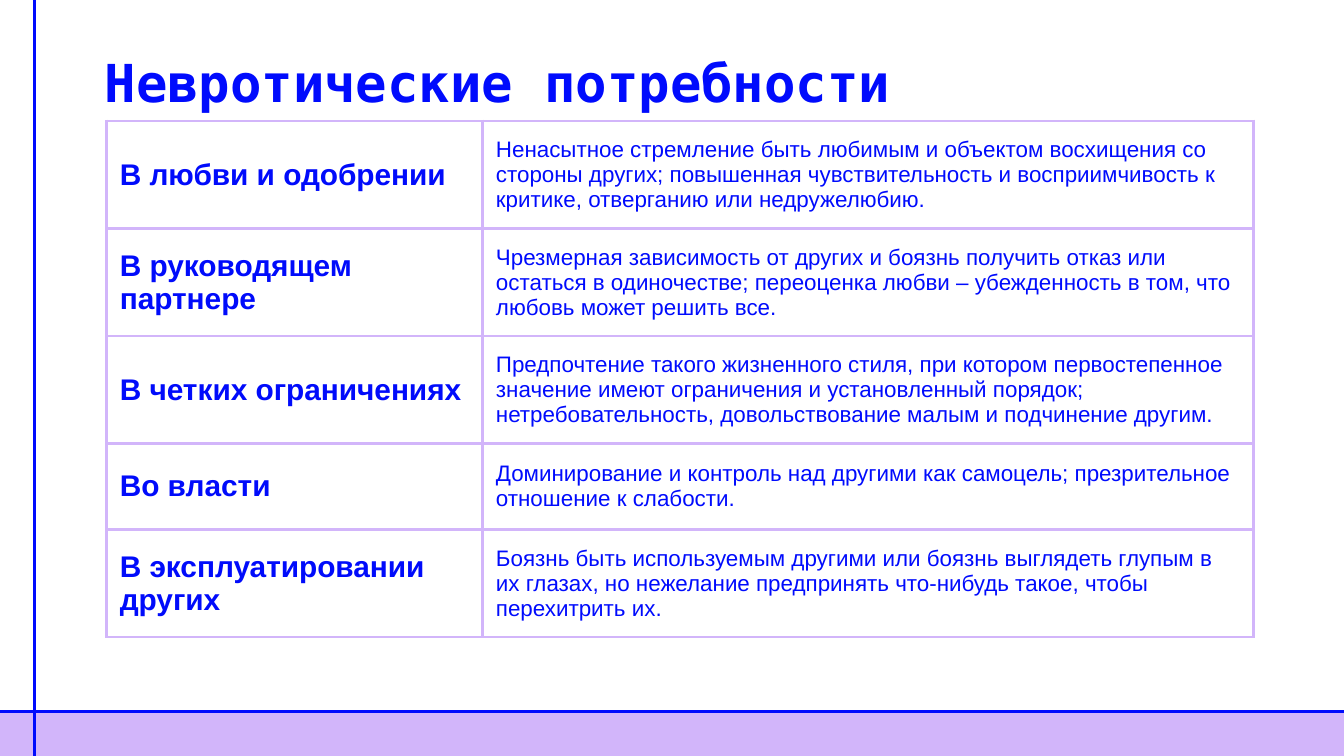
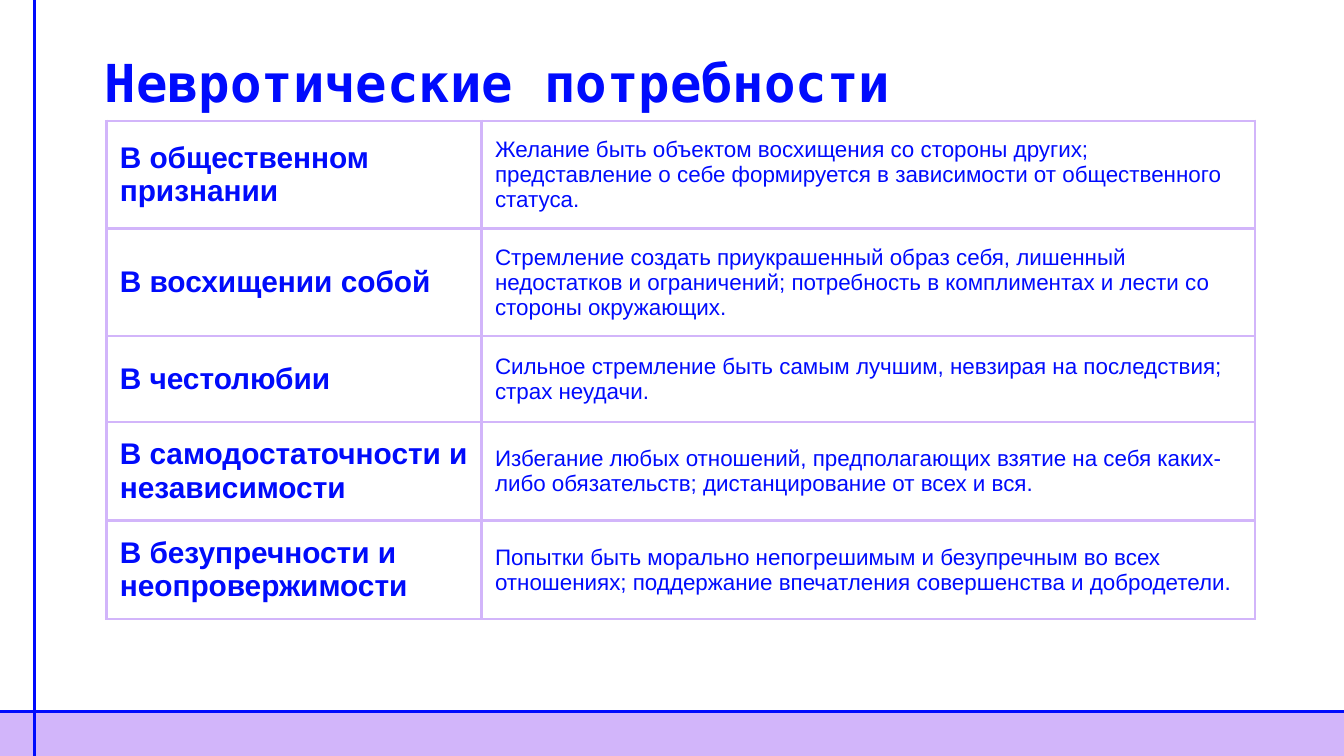
from lxml import etree
from pptx import Presentation
from pptx.dml.color import RGBColor
from pptx.enum.shapes import MSO_CONNECTOR as Connector, MSO_SHAPE as Shape
from pptx.enum.text import MSO_ANCHOR as Anchor
from pptx.oxml.ns import qn
from pptx.util import Pt

BLUE = RGBColor(0x00, 0x0B, 0xFD)
LABEL_BLUE = RGBColor(0x00, 0x0B, 0xFB)
LILAC = RGBColor(0xD2, 0xB5, 0xFA)
WHITE = RGBColor(0xFF, 0xFF, 0xFF)

BAND_TOP = 381
RULE_LEFT = 18.7
LINE_WIDTH = 1.5
INSET = 7.2
TABLE_LEFT, TABLE_TOP = 57, 64.8
ROW_HEIGHT = 46

TITLE_FORMAT = {"name": "DejaVu Sans Mono", "size": Pt(28), "bold": True}
LABEL_FORMAT = {"name": "Arial", "size": Pt(16), "bold": True}
DETAIL_FORMAT = {"name": "Arial", "size": Pt(12), "bold": False}

TITLE = "Невротические потребности"

# Each table: column widths, frame height, rows of (need, description)
TABLES = [
    ((201.5, 413), 291, [
        ("В любви и одобрении",
         "Ненасытное стремление быть любимым и объектом восхищения со стороны других; "
         "повышенная чувствительность и восприимчивость к критике, отверганию или недружелюбию."),
        ("В руководящем партнере",
         "Чрезмерная зависимость от других и боязнь получить отказ или остаться в одиночестве; "
         "переоценка любви – убежденность в том, что любовь может решить все."),
        ("В четких ограничениях",
         "Предпочтение такого жизненного стиля, при котором первостепенное значение имеют "
         "ограничения и установленный порядок; нетребовательность, довольствование малым "
         "и подчинение другим."),
        ("Во власти",
         "Доминирование и контроль над другими как самоцель; презрительное отношение к слабости."),
        ("В эксплуатировании других",
         "Боязнь быть используемым другими или боязнь выглядеть глупым в их глазах, "
         "но нежелание предпринять что-нибудь такое, чтобы перехитрить их."),
    ]),
    ((201, 414.5), 271.5, [
        ("В общественном признании",
         "Желание быть объектом восхищения со стороны других; представление о себе "
         "формируется в зависимости от общественного статуса."),
        ("В восхищении собой",
         "Стремление создать приукрашенный образ себя, лишенный недостатков и ограничений; "
         "потребность в комплиментах и лести со стороны окружающих."),
        ("В честолюбии",
         "Сильное стремление быть самым лучшим, невзирая на последствия; страх неудачи."),
        ("В самодостаточности и независимости",
         "Избегание любых отношений, предполагающих взятие на себя каких-либо обязательств; "
         "дистанцирование от всех и вся."),
        ("В безупречности и неопровержимости",
         "Попытки быть морально непогрешимым и безупречным во всех отношениях; "
         "поддержание впечатления совершенства и добродетели."),
    ]),
]


def write_text(text_frame, text, font_format, color):
    paragraph = text_frame.paragraphs[0]
    run = paragraph.add_run()
    run.text = text
    for name, value in font_format.items():
        setattr(run.font, name, value)
    run.font.color.rgb = color
    return paragraph


def set_insets(target):
    for side in ("left", "top", "right", "bottom"):
        setattr(target, f"margin_{side}", Pt(INSET))


def add_rule(slide, *ends):
    rule = slide.shapes.add_connector(Connector.STRAIGHT, *map(Pt, ends))
    rule.line.color.rgb = BLUE
    rule.line.width = Pt(LINE_WIDTH)
    etree.SubElement(rule._element.spPr, qn("a:effectLst"))


def add_frame(slide):
    """Bottom band with the two crossing rules."""
    band = slide.shapes.add_shape(Shape.RECTANGLE, 0, Pt(BAND_TOP), Pt(720), Pt(26.5))
    band.shadow.inherit = False
    band.fill.solid()
    band.fill.fore_color.rgb = LILAC
    band.line.fill.background()
    add_rule(slide, 728, BAND_TOP, -3, BAND_TOP)
    add_rule(slide, RULE_LEFT, 407.5, RULE_LEFT, -1.5)


def add_title(slide, text):
    box = slide.shapes.add_textbox(Pt(49), Pt(19.5), Pt(622), Pt(45.3))
    text_frame = box.text_frame
    text_frame.word_wrap = True
    text_frame.vertical_anchor = Anchor.TOP
    set_insets(text_frame)
    write_text(text_frame, text, TITLE_FORMAT, BLUE)


def add_borders(cell):
    properties = cell._tc.get_or_add_tcPr()
    for index, tag in enumerate(("a:lnL", "a:lnR", "a:lnT", "a:lnB")):
        line = etree.Element(qn(tag), w=str(Pt(LINE_WIDTH)))
        fill = etree.SubElement(line, qn("a:solidFill"))
        etree.SubElement(fill, qn("a:srgbClr"), val=str(LILAC))
        properties.insert(index, line)


def fill_cell(cell, text, font_format, color):
    cell.fill.solid()
    cell.fill.fore_color.rgb = WHITE
    cell.vertical_anchor = Anchor.MIDDLE
    set_insets(cell)
    add_borders(cell)
    return write_text(cell.text_frame, text, font_format, color)


def add_needs_table(slide, widths, height, needs):
    frame = slide.shapes.add_table(len(needs), len(widths), Pt(TABLE_LEFT), Pt(TABLE_TOP),
                                   Pt(sum(widths)), Pt(height))
    table = frame.table
    table.first_row = table.horz_banding = False
    for column, width in zip(table.columns, widths):
        column.width = Pt(width)
    for index, (need, description) in enumerate(needs):
        table.rows[index].height = Pt(ROW_HEIGHT)
        fill_cell(table.cell(index, 0), need, LABEL_FORMAT, LABEL_BLUE)
        paragraph = fill_cell(table.cell(index, 1), description, DETAIL_FORMAT, BLUE)
        if index < len(needs) - 1:
            paragraph.space_after = Pt(16)
    # Rows grow with their text, so the frame is taller than their minimum heights
    frame.height = Pt(height)


def main():
    presentation = Presentation()
    presentation.slide_width, presentation.slide_height = Pt(720), Pt(405)
    for widths, height, needs in TABLES:
        slide = presentation.slides.add_slide(presentation.slide_layouts[6])
        add_frame(slide)
        add_title(slide, TITLE)
        add_needs_table(slide, widths, height, needs)
    presentation.save("out.pptx")


if __name__ == "__main__":
    main()
